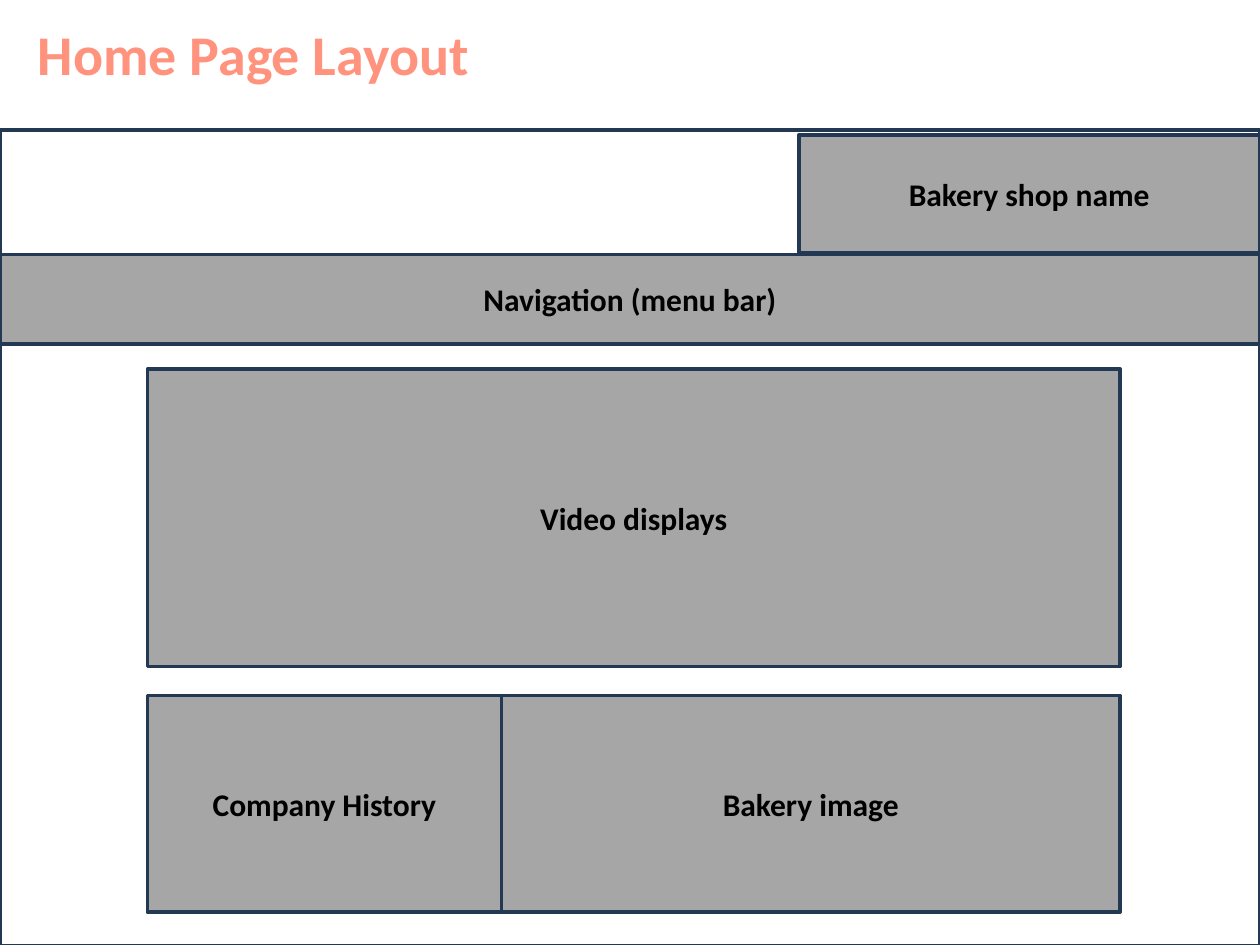
from pptx import Presentation
from pptx.dml.color import RGBColor
from pptx.enum.shapes import MSO_SHAPE
from pptx.enum.text import MSO_ANCHOR, PP_ALIGN
from pptx.util import Inches, Pt

THEME = {
    "page": RGBColor.from_string("FFFFFF"),
    "block": RGBColor.from_string("A6A6A6"),
    "line": RGBColor.from_string("233953"),
    "line_width": Pt(2),
    "title": {"name": "Calibri", "size": Pt(32), "bold": True,
              "color": RGBColor.from_string("FF937D")},
    "label": {"name": "Calibri", "size": Pt(18), "bold": True,
              "color": RGBColor.from_string("000000")},
}

SLIDE_W, SLIDE_H = 10, 7.5
TITLE = "Home Page Layout"
TITLE_BOX = (0.2, -0.01, 8.38, 0.87)
PAGE_BOX = (0, 1.03, SLIDE_W, 6.48)
CONTENT_LEFT = 1.17

# Wireframe rows: left, top, height, [(label, width), ...]
ROWS = [
    (6.34, 1.07, 0.94, [("Bakery shop name", 3.66)]),
    (0, 2.02, 0.71, [("Navigation (menu bar)", SLIDE_W)]),
    (CONTENT_LEFT, 2.93, 2.36, [("Video displays", 7.72)]),
    (CONTENT_LEFT, 5.52, 1.72, [("Company History", 2.81), ("Bakery image", 4.91)]),
]


def write(shape, text, style, align):
    tf = shape.text_frame
    tf.word_wrap = True
    tf.vertical_anchor = MSO_ANCHOR.MIDDLE
    p = tf.paragraphs[0]
    p.alignment = align
    r = p.add_run()
    r.text = text
    for name, value in style.items():
        if name == "color":
            r.font.color.rgb = value
        else:
            setattr(r.font, name, value)


def add_box(slide, box, fill):
    sp = slide.shapes.add_shape(MSO_SHAPE.RECTANGLE, *map(Inches, box))
    sp.shadow.inherit = False
    sp.fill.solid()
    sp.fill.fore_color.rgb = fill
    sp.line.color.rgb = THEME["line"]
    sp.line.width = THEME["line_width"]
    return sp


def main():
    prs = Presentation()
    prs.slide_width, prs.slide_height = Inches(SLIDE_W), Inches(SLIDE_H)
    slide = prs.slides.add_slide(prs.slide_layouts.get_by_name("Title Only"))

    title = slide.shapes.title
    title.left, title.top, title.width, title.height = map(Inches, TITLE_BOX)
    write(title, TITLE, THEME["title"], PP_ALIGN.LEFT)

    add_box(slide, PAGE_BOX, THEME["page"])
    for left, top, height, blocks in ROWS:
        for label, width in blocks:
            sp = add_box(slide, (left, top, width, height), THEME["block"])
            write(sp, label, THEME["label"], PP_ALIGN.CENTER)
            left += width

    prs.save("out.pptx")


if __name__ == "__main__":
    main()
